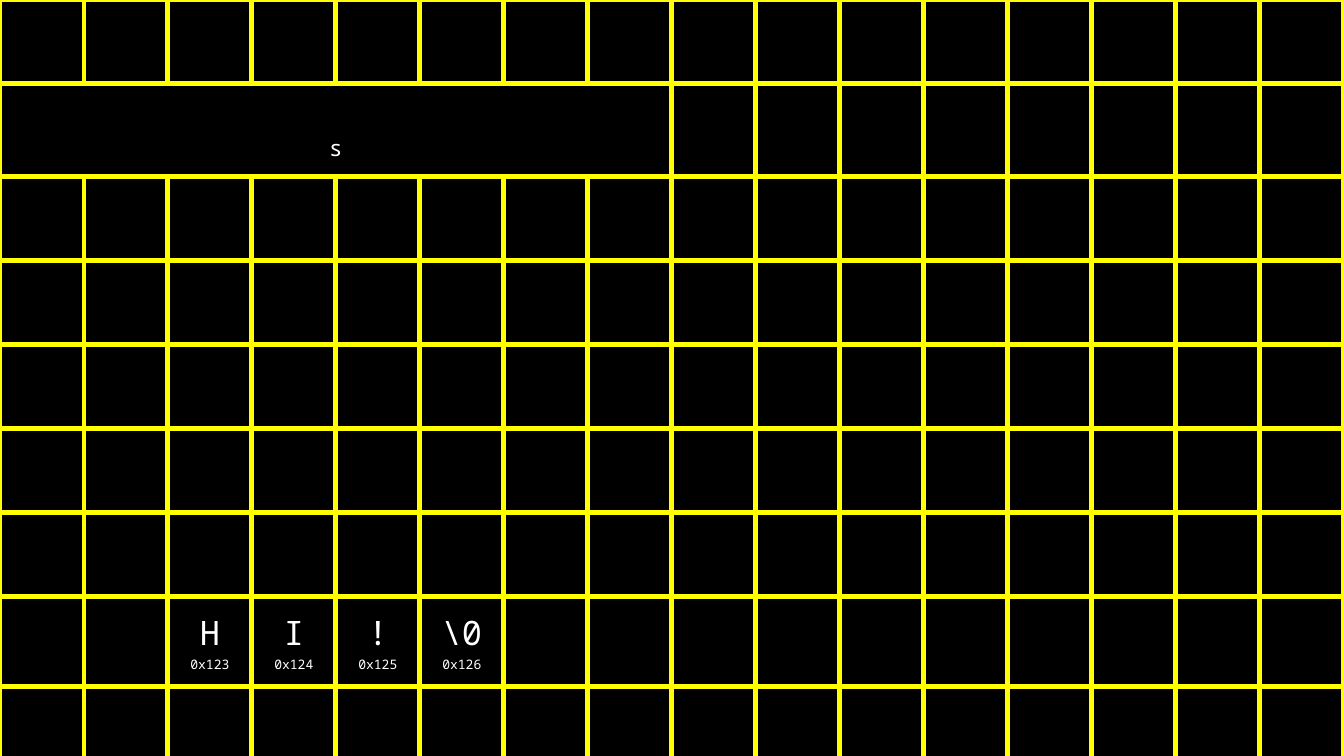
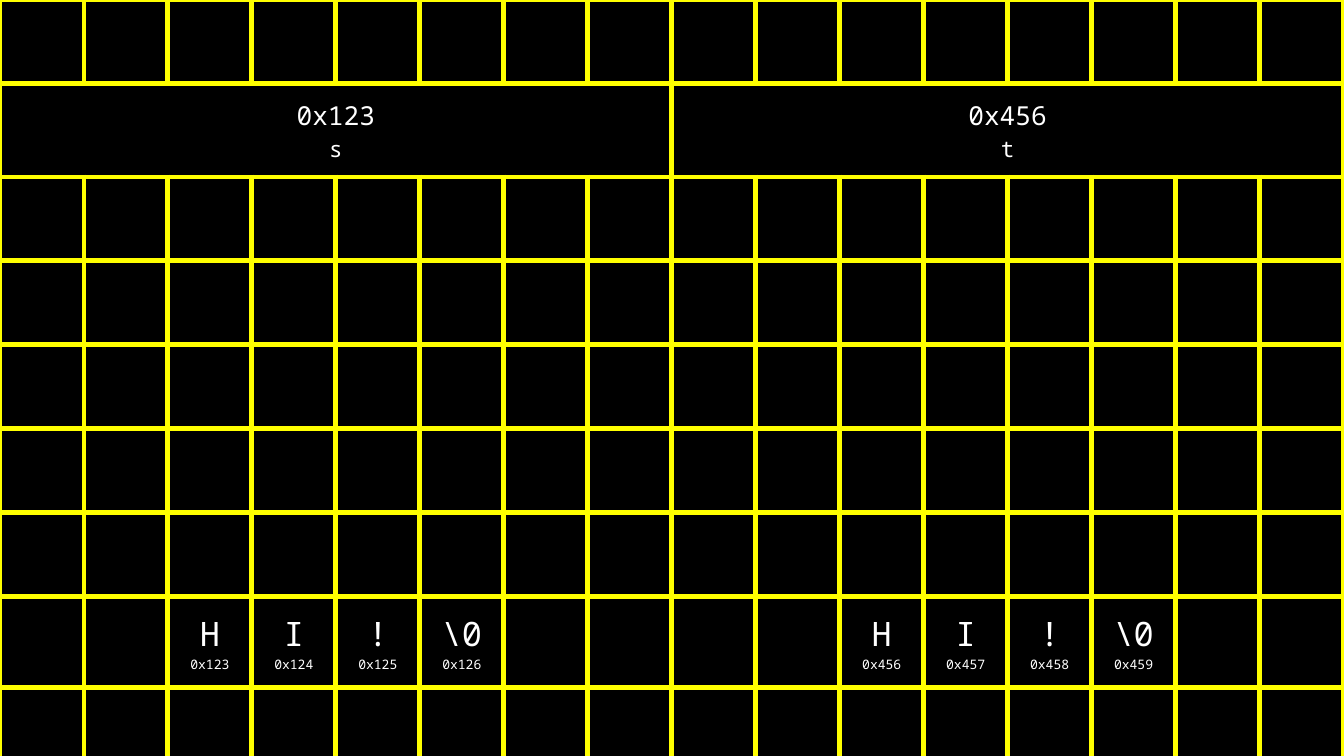
from dataclasses import dataclass

from lxml.etree import SubElement
from pptx import Presentation
from pptx.dml.color import RGBColor
from pptx.enum.text import MSO_ANCHOR as Anchor, PP_ALIGN as Align
from pptx.oxml.ns import qn
from pptx.slide import Slide
from pptx.table import Table, _Cell as Cell
from pptx.util import Emu, Inches, Pt


@dataclass(frozen=True)
class Theme:
    background: str = "000000"
    ink: str = "FFFFFF"
    grid: str = "FFFF00"
    font: str = "Noto Sans Mono"
    grid_line: Emu = Pt(3)
    pointer_value: Emu = Pt(14)
    pointer_name: Emu = Pt(12)
    character: Emu = Pt(18)
    byte_address: Emu = Pt(7)
    padding: Emu = Inches(0.1)


@dataclass(frozen=True)
class StringVariable:
    name: str
    address: int
    pointer_column: int
    address_stored: bool = True
    characters: tuple[str, ...] = ("H", "I", "!", "\\0")


THEME = Theme()
COLUMNS, ROWS = 16, 12
SLIDE_WIDTH = Inches(10)
SLIDE_HEIGHT = SLIDE_WIDTH * 9 // 16
BYTE_SIZE = SLIDE_WIDTH // COLUMNS

# A pointer takes eight bytes; its string starts two columns further right
POINTER_ROW, POINTER_BYTES, POINTER_HEIGHT = 1, 8, Inches(0.69)
STRING_ROW, STRING_OFFSET = 7, 2

MEMORY_STATES = (
    (StringVariable("s", 0x123, 0, address_stored=False),),
    (StringVariable("s", 0x123, 0), StringVariable("t", 0x456, 8)),
)


def draw_borders(cell: Cell) -> None:
    properties = cell._tc.get_or_add_tcPr()
    for position, side in enumerate(("a:lnL", "a:lnR", "a:lnT", "a:lnB")):
        line = SubElement(properties, qn(side), w=str(THEME.grid_line))
        fill = SubElement(line, qn("a:solidFill"))
        SubElement(fill, qn("a:srgbClr"), val=THEME.grid)
        properties.insert(position, line)


def write_cell(cell: Cell, *lines: tuple[str, Emu]) -> None:
    frame = cell.text_frame
    frame.text = "\n".join(text for text, _ in lines)
    for paragraph, (_, size) in zip(frame.paragraphs, lines):
        paragraph.alignment = Align.CENTER
        for run in paragraph.runs:
            run.font.name = THEME.font
            run.font.size = size
            run.font.color.rgb = RGBColor.from_string(THEME.ink)


def add_memory(slide: Slide) -> Table:
    memory = slide.shapes.add_table(
        ROWS, COLUMNS, 0, 0, SLIDE_WIDTH, BYTE_SIZE * ROWS
    ).table
    memory.first_row = memory.horz_banding = False
    for column in memory.columns:
        column.width = BYTE_SIZE
    for row in memory.rows:
        row.height = BYTE_SIZE
    memory.rows[POINTER_ROW].height = POINTER_HEIGHT

    for cell in memory.iter_cells():
        cell.margin_left = cell.margin_right = THEME.padding
        cell.margin_top = cell.margin_bottom = THEME.padding
        cell.fill.background()
        draw_borders(cell)
    return memory


def add_variable(memory: Table, variable: StringVariable) -> None:
    # Pointer, with its value once one is stored
    start = variable.pointer_column
    pointer = memory.cell(POINTER_ROW, start)
    pointer.merge(memory.cell(POINTER_ROW, start + POINTER_BYTES - 1))
    pointer.vertical_anchor = Anchor.BOTTOM
    name = (variable.name, THEME.pointer_name)
    if variable.address_stored:
        write_cell(pointer, (f"0x{variable.address:x}", THEME.pointer_value), name)
    else:
        write_cell(pointer, name)

    # Characters, one byte each
    for index, character in enumerate(variable.characters):
        write_cell(
            memory.cell(STRING_ROW, start + STRING_OFFSET + index),
            (character, THEME.character),
            (f"0x{variable.address + index:x}", THEME.byte_address),
        )


def main() -> None:
    deck = Presentation()
    deck.slide_width, deck.slide_height = SLIDE_WIDTH, SLIDE_HEIGHT
    blank_layout = deck.slide_layouts[6]
    for variables in MEMORY_STATES:
        slide = deck.slides.add_slide(blank_layout)
        backdrop = slide.background.fill
        backdrop.solid()
        backdrop.fore_color.rgb = RGBColor.from_string(THEME.background)
        memory = add_memory(slide)
        for variable in variables:
            add_variable(memory, variable)
    deck.save("out.pptx")


if __name__ == "__main__":
    main()
